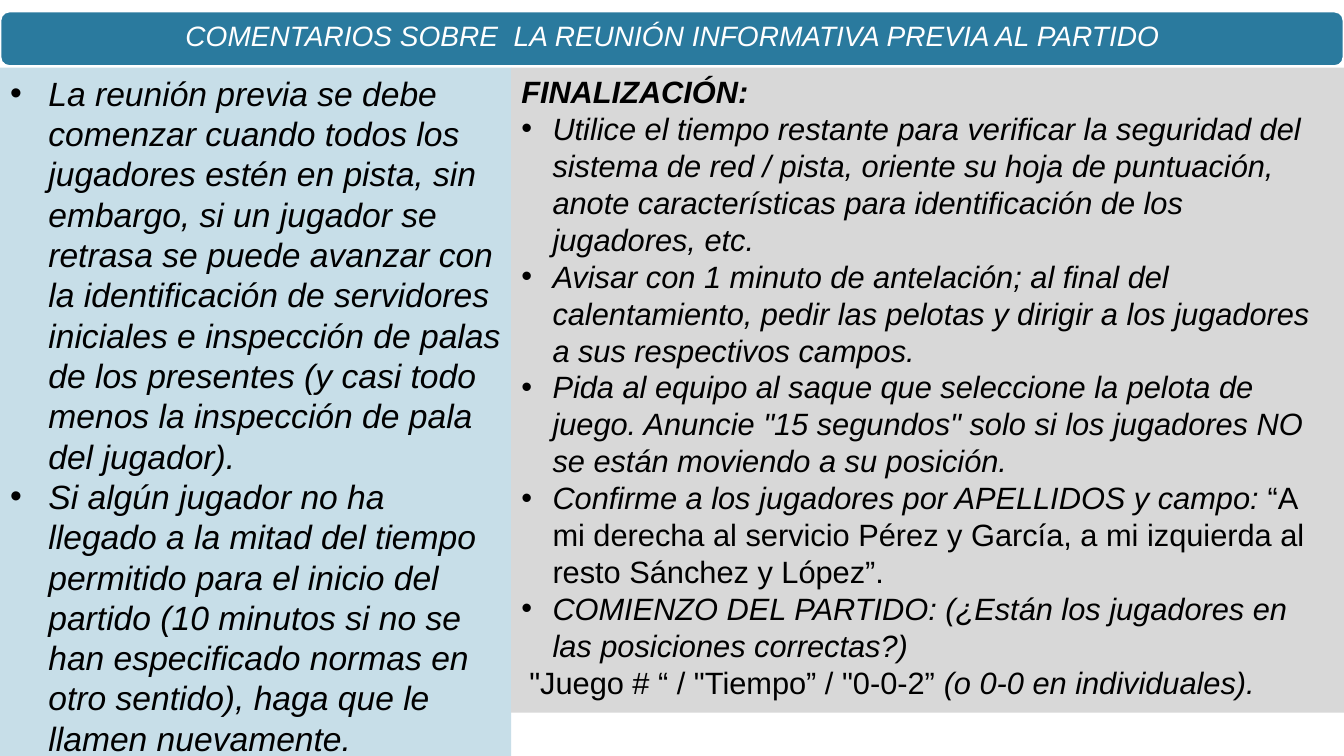
"""Build the slide with comments on the pre-match briefing."""
from lxml import etree
from pptx import Presentation
from pptx import util as u
from pptx.dml.color import RGBColor
from pptx.enum import shapes, text
from pptx.oxml import ns

COLORS = {"banner": "2A7A9E", "left": "C7DEE8", "right": "D8D8D8", "white": "FFFFFF", "black": "000000"}
FONT = "Arial"
TITLE = "COMENTARIOS SOBRE  LA REUNIÓN INFORMATIVA PREVIA AL PARTIDO"

ITALIC, PLAIN, STRONG = "italic", "plain", "strong"
BULLET, HEADING, CLOSING = "bullet", "heading", "closing"
BRIEFING = [
    (BULLET, [("La reunión previa se debe comenzar cuando todos los jugadores estén en pista, sin embargo, "
               "si un jugador se retrasa se puede avanzar con la identificación de servidores iniciales e "
               "inspección de palas de los presentes (y casi todo menos la inspección de pala del jugador).",
               ITALIC)]),
    (BULLET, [("Si algún jugador no ha llegado a la mitad del tiempo permitido para el inicio del partido "
               "(10 minutos si no se han especificado normas en otro sentido), haga que le llamen nuevamente.",
               ITALIC)]),
]
FINISH = [
    (HEADING, [("FINALIZACIÓN:", STRONG)]),
    (BULLET, [("Utilice el tiempo restante para verificar la seguridad del sistema de red / pista, oriente su "
               "hoja de puntuación, anote características para identificación de los jugadores, etc.", ITALIC)]),
    (BULLET, [("Avisar con 1 minuto de antelación; al final del calentamiento, pedir las pelotas y dirigir a "
               "los jugadores a sus respectivos campos.", ITALIC)]),
    (BULLET, [("Pida al equipo al saque que seleccione la pelota de juego. Anuncie \"15 segundos\" solo si los "
               "jugadores NO se están moviendo a su posición.", ITALIC)]),
    (BULLET, [("Confirme a los jugadores por APELLIDOS y campo:", ITALIC),
              (" “A mi derecha al servicio Pérez y García, a mi izquierda al resto Sánchez y López”.", PLAIN)]),
    (BULLET, [("COMIENZO DEL PARTIDO: (¿Están los jugadores en las posiciones correctas?)", ITALIC)]),
    (CLOSING, [("\"Juego # “ / \"Tiempo” / \"0-0-2” ", PLAIN), ("(o 0-0 en individuales).", ITALIC)]),
]

WIDTH, HEIGHT = 13.33, 7.5
PANEL_TOP, SPLIT = 0.67, 5.07
PANELS = [
    (BRIEFING, "left", (0, PANEL_TOP, SPLIT, 6.97), 24, 0.38),
    (FINISH, "right", (SPLIT, PANEL_TOP, WIDTH - SPLIT, 6.4), 22, 0.31),
]


def color(name):
    return RGBColor.from_string(COLORS[name])


def place(shape, box):
    shape.left, shape.top, shape.width, shape.height = map(u.Inches, box)


def set_frame(frame, anchor, side, edge):
    frame.word_wrap = True
    frame.auto_size = text.MSO_AUTO_SIZE.NONE
    frame.vertical_anchor = anchor
    frame.margin_left = frame.margin_right = u.Inches(side)
    frame.margin_top = frame.margin_bottom = u.Inches(edge)


def add_run(paragraph, words, style, size, ink):
    run = paragraph.add_run()
    run.text = words
    run.font.name, run.font.size = FONT, u.Pt(size)
    run.font.italic, run.font.bold = style != PLAIN, style == STRONG
    run.font.color.rgb = color(ink)


def set_indent(paragraph, kind, hanging):
    properties = paragraph._p.get_or_add_pPr()
    margin = {BULLET: hanging, HEADING: 0, CLOSING: 0.08}[kind]
    properties.set("marL", str(u.Inches(margin)))
    properties.set("indent", str(u.Inches(-hanging if kind == BULLET else 0)))
    if kind != BULLET:
        etree.SubElement(properties, ns.qn("a:buNone"))
        return
    bullet_color = etree.SubElement(properties, ns.qn("a:buClr"))
    etree.SubElement(bullet_color, ns.qn("a:srgbClr"), val=COLORS["black"])
    etree.SubElement(properties, ns.qn("a:buFont"), typeface=FONT)
    etree.SubElement(properties, ns.qn("a:buChar"), char="•")


def add_title(slide):
    banner = slide.shapes.add_shape(
        shapes.MSO_SHAPE.ROUNDED_RECTANGLE, *map(u.Inches, (0, 0.11, WIDTH, 0.55)))
    banner.shadow.inherit = False
    banner.fill.solid()
    banner.fill.fore_color.rgb = color("banner")
    banner.line.color.rgb = color("white")
    banner.line.width = u.Pt(2)
    title = slide.shapes.title
    title.element.addprevious(banner.element)
    place(title, (0.03, 0.13, 13.28, 0.49))
    set_frame(title.text_frame, text.MSO_ANCHOR.MIDDLE, 0.08, 0.08)
    paragraph = title.text_frame.paragraphs[0]
    paragraph.alignment = text.PP_ALIGN.CENTER
    paragraph.line_spacing = 0.9
    add_run(paragraph, TITLE, ITALIC, 20, "white")


def fill_panel(panel, content, fill, box, size, hanging):
    place(panel, box)
    panel.fill.solid()
    panel.fill.fore_color.rgb = color(fill)
    frame = panel.text_frame
    set_frame(frame, text.MSO_ANCHOR.TOP, 0.1, 0.05)
    for index, (kind, runs) in enumerate(content):
        paragraph = frame.add_paragraph() if index else frame.paragraphs[0]
        paragraph.alignment = text.PP_ALIGN.LEFT
        paragraph.line_spacing = 1.0
        paragraph.space_before = u.Pt(0)
        set_indent(paragraph, kind, hanging)
        for words, style in runs:
            add_run(paragraph, words, style, size, "black")


def main():
    presentation = Presentation()
    presentation.slide_width, presentation.slide_height = u.Inches(WIDTH), u.Inches(HEIGHT)
    slide = presentation.slides.add_slide(presentation.slide_layouts.get_by_name("Two Content"))
    add_title(slide)
    for index, panel in enumerate(PANELS, start=1):
        fill_panel(slide.placeholders[index], *panel)
    presentation.save("out.pptx")


if __name__ == "__main__":
    main()
